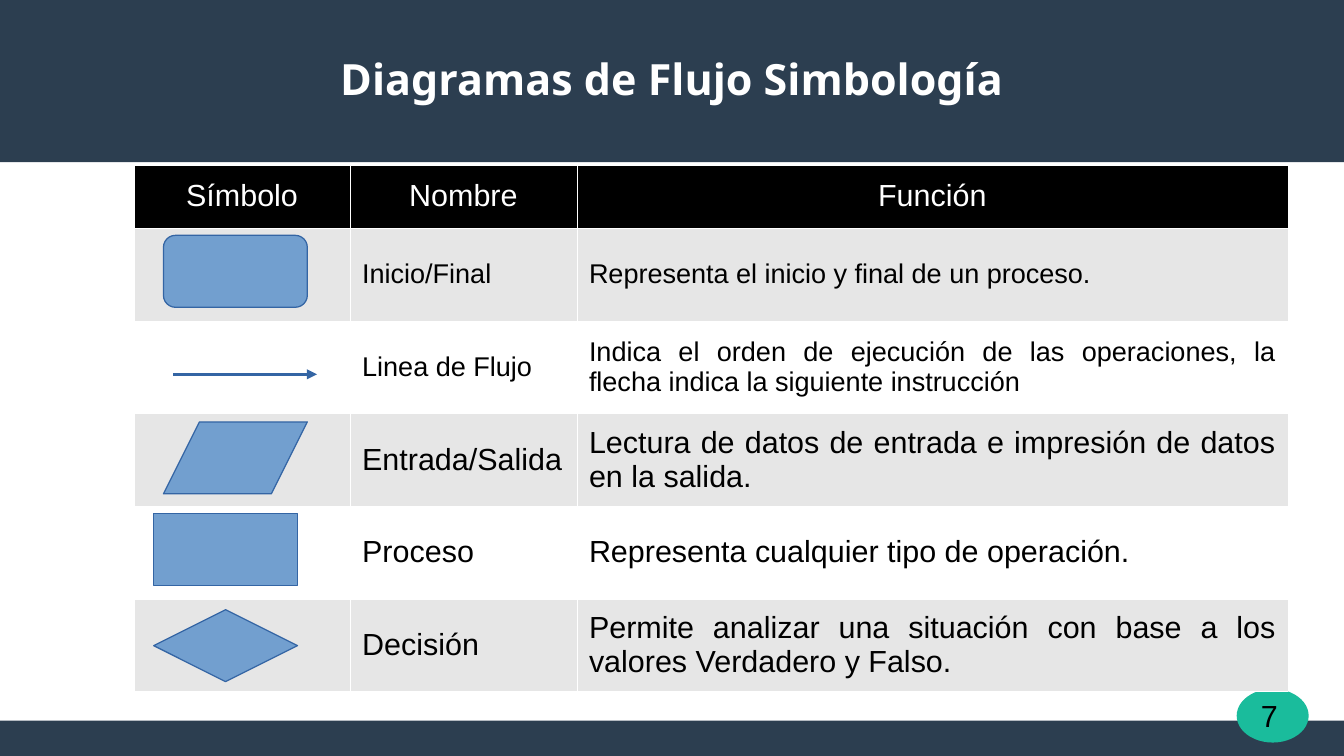
import pptx
import pptx.dml.color
import pptx.enum.dml
import pptx.enum.shapes
import pptx.enum.text
import pptx.oxml
import pptx.oxml.ns
import pptx.util
from dataclasses import dataclass

Inches = pptx.util.Inches
Pt = pptx.util.Pt
Kind = pptx.enum.shapes.MSO_SHAPE
Align = pptx.enum.text.PP_ALIGN
Mid = pptx.enum.text.MSO_ANCHOR.MIDDLE


@dataclass(frozen=True)
class Theme:
    navy: str = "2C3E50"
    teal: str = "1ABC9C"
    blue: str = "729FCF"
    edge: str = "3465A4"
    gray: str = "E6E6E6"
    white: str = "FFFFFF"
    black: str = "000000"
    sans: str = "Arial"
    head: str = "Noto Sans"
    title: float = 25.4
    large: int = 18
    small: int = 16


look = Theme()

TITLE = "Diagramas de Flujo Simbología"
PAGE = "7"
HEADS = ["Símbolo", "Nombre", "Función"]
ROWS = [
    ("Inicio/Final", "Representa el inicio y final de un proceso.", look.small),
    ("Linea de Flujo", "Indica el orden de ejecución de las operaciones, "
     "la flecha indica la siguiente instrucción", look.small),
    ("Entrada/Salida", "Lectura de datos de entrada e impresión de datos "
     "en la salida.", look.large),
    ("Proceso", "Representa cualquier tipo de operación.", look.large),
    ("Decisión", "Permite analizar una situación con base a los valores "
     "Verdadero y Falso.", look.large),
]
BASE = [
    (Kind.RECTANGLE, (0, 5.91, 11.02, 0.3), look.navy),
    (Kind.RECTANGLE, (0, 0, 11.02, 1.33), look.navy),
    (Kind.OVAL, (10.14, 5.65, 0.59, 0.44), look.teal),
]
SIGNS = [
    (Kind.ROUNDED_RECTANGLE, 1.34, 1.93, 0.167),
    (Kind.PARALLELOGRAM, 1.34, 3.46, 0.5),
    (Kind.RECTANGLE, 1.26, 4.21, None),
    (Kind.DIAMOND, 1.26, 5, None),
]
SIGN = (1.18, 0.59)
FLOW = (1.42, 3.07, 2.6, 3.07)
GRID = (1.1, 1.35, 9.46, 4.32)
COLS = [1.77, 1.86, 5.83]
TALL = [0.52] + [0.76] * len(ROWS)


def tint(code):
    return pptx.dml.color.RGBColor.from_string(code)


def place(nums):
    return [Inches(num) for num in nums]


def apply(item, vals):
    for key, val in vals.items():
        setattr(item, key, val)


def write(frame, text, size, face, color, align, bold=False):
    para = frame.paragraphs[0]
    para.alignment = align
    run = para.add_run()
    run.text = text
    apply(run.font, {"size": Pt(size), "name": face, "bold": bold})
    run.font.color.rgb = tint(color)


def shape(kind, box, fill, edge=None):
    item = slide.shapes.add_shape(kind, *place(box))
    item.shadow.inherit = False
    item.fill.solid()
    item.fill.fore_color.rgb = tint(fill)
    if edge:
        item.line.color.rgb = tint(edge)
        item.line.width = Pt(0)
    else:
        item.line.fill.background()
    return item


def label(box, vals):
    frame = slide.shapes.add_textbox(*place(box)).text_frame
    apply(frame, vals)
    return frame


def border(cell):
    props = cell._tc.get_or_add_tcPr()
    for side in ("lnL", "lnR", "lnT", "lnB"):
        props.append(pptx.oxml.parse_xml(
            f'<a:{side} {pptx.oxml.ns.nsdecls("a")} w="720"><a:solidFill>'
            f'<a:srgbClr val="{look.white}"/></a:solidFill></a:{side}>'))


def table():
    grid = slide.shapes.add_table(len(TALL), len(COLS), *place(GRID)).table
    for col, wide in zip(grid.columns, COLS):
        col.width = Inches(wide)
    for row, tall in zip(grid.rows, TALL):
        row.height = Inches(tall)
    lines = [(HEADS, look.large)] + [(("", *row[:2]), row[2]) for row in ROWS]
    for r, (words, size) in enumerate(lines):
        top = r == 0
        fill = look.black if top else (look.white, look.gray)[r % 2]
        ink = look.white if top else look.black
        align = Align.CENTER if top else Align.JUSTIFY
        for c, text in enumerate(words):
            cell = grid.cell(r, c)
            cell.vertical_anchor = Mid
            border(cell)
            cell.fill.solid()
            cell.fill.fore_color.rgb = tint(fill)
            if text:
                write(cell.text_frame, text, size, look.sans, ink, align)


def arrow():
    line = slide.shapes.add_connector(
        pptx.enum.shapes.MSO_CONNECTOR.STRAIGHT, *place(FLOW))
    line.line.color.rgb = tint(look.edge)
    line.line.width = Pt(0)
    mark = pptx.oxml.parse_xml(
        f'<a:tailEnd {pptx.oxml.ns.nsdecls("a")} type="triangle"/>')
    line.line._get_or_add_ln().append(mark)
    line._element.spPr.append(pptx.oxml.parse_xml(
        f'<a:effectLst {pptx.oxml.ns.nsdecls("a")}/>'))


deck = pptx.Presentation()
apply(deck, {"slide_width": Inches(11.02), "slide_height": Inches(6.2)})
slide = deck.slides.add_slide(deck.slide_layouts[6])

for kind, box, fill in BASE:
    shape(kind, box, fill)

flat = {"margin_" + side: 0 for side in ("left", "top", "right", "bottom")}
name = label((0.39, 0.25, 10.24, 0.79),
             {**flat, "word_wrap": True, "vertical_anchor": Mid})
write(name, TITLE, look.title, look.head, look.white, Align.CENTER, True)

table()

for kind, left, top, bend in SIGNS:
    sign = shape(kind, (left, top, *SIGN), look.blue, look.edge)
    if bend:
        sign.adjustments[0] = bend
arrow()

page = label((10.24, 5.67, 0.51, 0.47), {
    "word_wrap": False,
    "auto_size": pptx.enum.text.MSO_AUTO_SIZE.SHAPE_TO_FIT_TEXT})
write(page, PAGE, look.large, look.sans, look.black, Align.LEFT)

deck.save("out.pptx")
